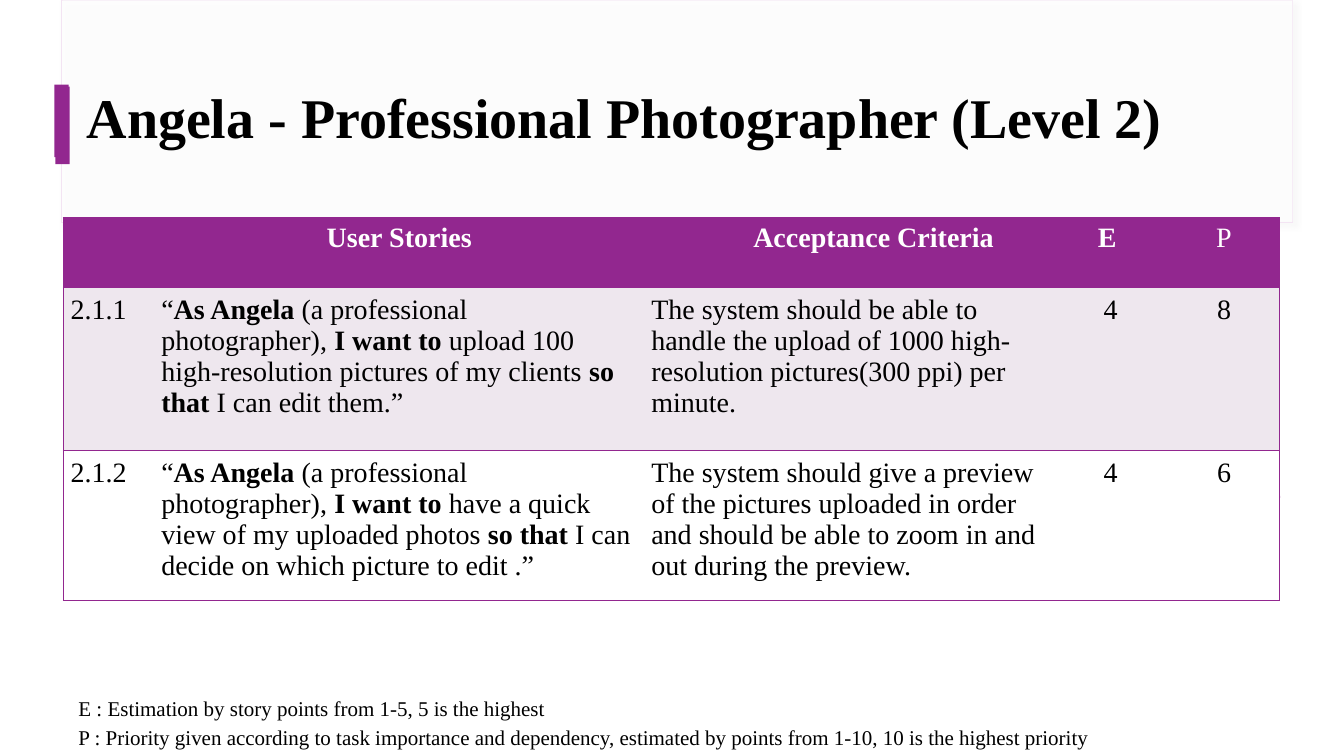
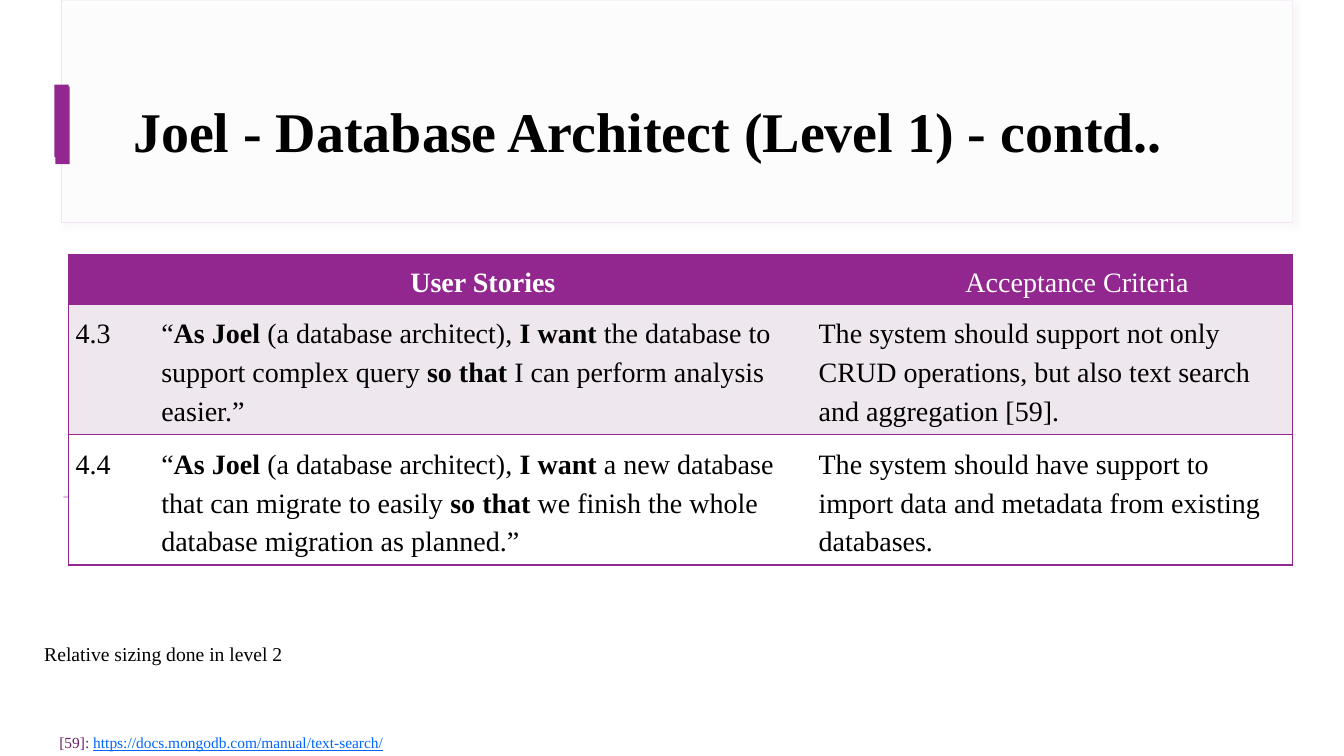
from lxml import etree
from pptx import Presentation
from pptx.dml.color import RGBColor
from pptx.enum import shapes, text
from pptx.oxml import ns
from pptx.util import Inches, Pt

PURPLE = RGBColor(0x92, 0x27, 0x8F)
DARK_PURPLE = RGBColor(0x6D, 0x1D, 0x6B)
PALE_PURPLE = RGBColor(0xE1, 0xBF, 0xE1)
PANEL_LINE = RGBColor(0xF3, 0xE4, 0xF3)
BAND = RGBColor(0xEE, 0xE7, 0xEE)
WHITE = RGBColor(0xFF, 0xFF, 0xFF)
BLACK = RGBColor(0, 0, 0)
LINK_BLUE = RGBColor(0x00, 0x66, 0xFF)
SHADOW_GREY = "D8D8D8"
FONT = "Times New Roman"
CENTER = text.PP_ALIGN.CENTER
LEFT = text.PP_ALIGN.LEFT


def set_values(target, values):
    """Set each named attribute of the target."""
    for name, value in values.items():
        setattr(target, name, value)


def place(shape, box):
    """Move a shape to a box of left, top, width and height in inches."""
    set_values(shape, dict(zip(("left", "top", "width", "height"), map(Inches, box))))


def add_child(parent, tag, **attributes):
    """Append a drawing element with attributes to a parent."""
    child = etree.SubElement(parent, ns.qn(tag))
    for name, value in attributes.items():
        child.set(name, str(value))
    return child


def add_run(paragraph, words, size, color=BLACK, **font_values):
    """Add one run of formatted text."""
    run = paragraph.add_run()
    run.text = words
    set_values(run.font, {"name": FONT, "size": Pt(size), **font_values})
    run.font.color.rgb = color


def add_marked_runs(paragraph, words, size, color=BLACK):
    """Add runs, with the parts between asterisks in bold."""
    for index, part in enumerate(words.split("*")):
        if part:
            add_run(paragraph, part, size, color, bold=index % 2 == 1)


def add_rectangle(slide, box, fill, line=None):
    """Add a flat rectangle with an optional thin outline."""
    shape = slide.shapes.add_shape(shapes.MSO_SHAPE.RECTANGLE, *map(Inches, box))
    shape.shadow.inherit = False
    shape.fill.solid()
    shape.fill.fore_color.rgb = fill
    if line is None:
        shape.line.fill.background()
    else:
        shape.line.color.rgb = line
        shape.line.width = Pt(0.75)
    return shape


def set_alpha(shape, percent):
    """Make the solid fill of a shape translucent."""
    color = shape._element.spPr.find(ns.qn("a:solidFill"))[0]
    add_child(color, "a:alpha", val=percent * 1000)


def add_soft_shadow(shape):
    """Give a shape a soft grey shadow to the lower right."""
    effects = shape._element.spPr.find(ns.qn("a:effectLst"))
    shadow = add_child(effects, "a:outerShdw", blurRad=Pt(4), dist=Pt(3),
                       dir=45 * 60000, algn="tl", rotWithShape=0)
    color = add_child(shadow, "a:srgbClr", val=SHADOW_GREY)
    add_child(color, "a:alpha", val=29000)


def decorate_layout(layout, slide):
    """Draw the title panel, accent bars and rule, and hand them to the layout."""
    panel = add_rectangle(slide, (0.61, 0, 12.21, 2.21), WHITE, PANEL_LINE)
    add_soft_shadow(panel)
    overlay = add_rectangle(slide, (0.62, 0, 12.2, 2.2), WHITE)
    for sheet in (panel, overlay):
        set_alpha(sheet, 49)
    parts = [panel, overlay]
    for box, color in (((0.55, 0.86, 0.14, 0.77), PURPLE),
                       ((0.63, 4.92, 12.07, 0.02), PALE_PURPLE),
                       ((0.54, 0.84, 0.14, 0.72), PURPLE)):
        parts.append(add_rectangle(slide, box, color))
    for part in parts:
        layout.shapes._spTree.append(part._element)


def fill_title(slide, box, words, **paragraph_values):
    """Place and format the title placeholder."""
    title = slide.shapes.title
    place(title, box)
    set_values(title.text_frame, {
        "word_wrap": True,
        "auto_size": text.MSO_AUTO_SIZE.NONE,
        "vertical_anchor": text.MSO_ANCHOR.MIDDLE,
    })
    paragraph = title.text_frame.paragraphs[0]
    set_values(paragraph, {"alignment": LEFT, **paragraph_values})
    add_run(paragraph, words, 40, bold=True)


def set_borders(cell, first, last):
    """Rule a cell above and below, and at the outer sides of the table."""
    visible = {"a:lnL": first, "a:lnR": last, "a:lnT": True, "a:lnB": True}
    properties = cell._tc.get_or_add_tcPr()
    for index, (tag, shown) in enumerate(visible.items()):
        line = etree.Element(ns.qn(tag), w=str(Pt(1)))
        if shown:
            add_child(add_child(line, "a:solidFill"), "a:srgbClr", val=PURPLE)
        else:
            add_child(line, "a:noFill")
        properties.insert(index, line)


def add_story_table(slide, origin, widths, heights, rows, header_indents, spacing=None):
    """Add a table of user stories with a purple header and banded rows."""
    frame = slide.shapes.add_table(len(rows), len(widths), *map(
        Inches, (*origin, sum(widths), sum(heights))))
    table = frame.table
    set_values(table, {"first_row": False, "horz_banding": False})
    for column, width in zip(table.columns, widths):
        column.width = Inches(width)
    for row, height in zip(table.rows, heights):
        row.height = Inches(height)
    last = len(widths) - 1
    for row_index, row in enumerate(rows):
        header = row_index == 0
        fill = PURPLE if header else (WHITE, BAND)[row_index % 2]
        for column_index, words in enumerate(row):
            cell = table.cell(row_index, column_index)
            side, edge = (0.1, 0.05) if header else (0.07, 0.07)
            indent = header_indents.get(column_index, 0) if header else 0
            set_values(cell, {
                "margin_left": Inches(side + indent),
                "margin_right": Inches(side),
                "margin_top": Inches(edge),
                "margin_bottom": Inches(edge),
            })
            cell.fill.solid()
            cell.fill.fore_color.rgb = fill
            set_borders(cell, column_index == 0, column_index == last)
            paragraph = cell.text_frame.paragraphs[0]
            centered = words != "*E*" if header else column_index > 2
            set_values(paragraph, {
                "alignment": CENTER if centered else LEFT,
                "line_spacing": spacing,
            })
            add_marked_runs(paragraph, words, 20, WHITE if header else BLACK)


def add_note(slide, box, lines, size, inset=0.1, spacing=None):
    """Add a small note; each line is a list of words and format values."""
    note = slide.shapes.add_textbox(*map(Inches, box))
    frame = note.text_frame
    set_values(frame, {
        "word_wrap": True,
        "margin_top": Inches(inset),
        "margin_bottom": Inches(inset),
    })
    for index, runs in enumerate(lines):
        paragraph = frame.add_paragraph() if index else frame.paragraphs[0]
        paragraph.line_spacing = spacing
        for words, values in runs:
            add_run(paragraph, words, size, **values)


def build_photographer(slide):
    """Fill the slide of the photographer's stories."""
    add_story_table(
        slide, (0.63, 2.16), (0.9, 4.86, 4.05, 1.15, 1.1), (0.69, 1.62, 1.49),
        [
            ("", "*User Stories*", "*Acceptance Criteria*", "*E*", "P"),
            ("2.1.1",
             "“*As Angela *(a professional photographer), *I want to* upload 100 "
             "high-resolution pictures of my clients *so that* I can edit them.”",
             "The system should be able to handle the upload of 1000 "
             "high-resolution pictures(300 ppi) per minute.", "4", "8"),
            ("2.1.2",
             "“*As Angela *(a professional photographer), *I want to* have a quick view "
             "of my uploaded photos *so that* I can decide on which picture to edit .”",
             "The system should give a preview of the pictures uploaded in order and "
             "should be able to zoom in and out during the preview.", "4", "6"),
        ], {2: 0.5, 3: 0.35})
    add_note(slide, (0.68, 6.76, 11.97, 0.72), [
        [("E : Estimation by story points from 1-5, 5 is the highest", {})],
        [("P : Priority given according to task importance and dependency, estimated "
          "by points from 1-10, 10 is the highest priority", {})],
    ], 15, spacing=1.15)
    fill_title(slide, (0.76, 0.69, 12.56, 1),
               "Angela - Professional Photographer (Level 2)", line_spacing=0.9)


def build_architect(slide):
    """Fill the slide of the database architect's stories."""
    add_story_table(
        slide, (0.68, 2.53), (0.85, 6.52, 4.77), (0.48, 1.07, 1.07),
        [
            ("", "*User Stories*", "Acceptance Criteria"),
            ("4.3",
             "“*As Joel *(a database architect), *I want* the database to support "
             "complex query *so that* I can perform analysis easier.”",
             "The system should support not only CRUD operations, but also text "
             "search and aggregation [59]."),
            ("4.4",
             "“*As Joel *(a database architect), *I want* a new database that can "
             "migrate to easily* so that* we finish the whole database migration "
             "as planned.”",
             "The system should have support to import data and metadata from "
             "existing databases."),
        ], {2: 0.5}, spacing=1.25)
    add_note(slide, (0.49, 7.22, 6.75, 0.28), [[
        ("[59]: ", {"color": DARK_PURPLE}),
        ("https://docs.mongodb.com/manual/text-search/",
         {"color": LINK_BLUE, "underline": True}),
    ]], 11, inset=0.05)
    fill_title(slide, (1.22, 0.6, 11.12, 1.29),
               "Joel - Database Architect (Level 1) - contd..",
               line_spacing=1.15, space_after=Pt(16))
    add_note(slide, (0.34, 6.27, 3.28, 0.44),
             [[("Relative sizing done in level 2", {})]], 14)


def main():
    """Build and save the presentation."""
    presentation = Presentation()
    set_values(presentation, {"slide_width": Inches(13.33), "slide_height": Inches(7.5)})
    layout = presentation.slide_layouts[5]
    photographer, architect = (presentation.slides.add_slide(layout) for _ in range(2))
    decorate_layout(layout, photographer)
    build_photographer(photographer)
    build_architect(architect)
    presentation.save("out.pptx")


if __name__ == "__main__":
    main()
